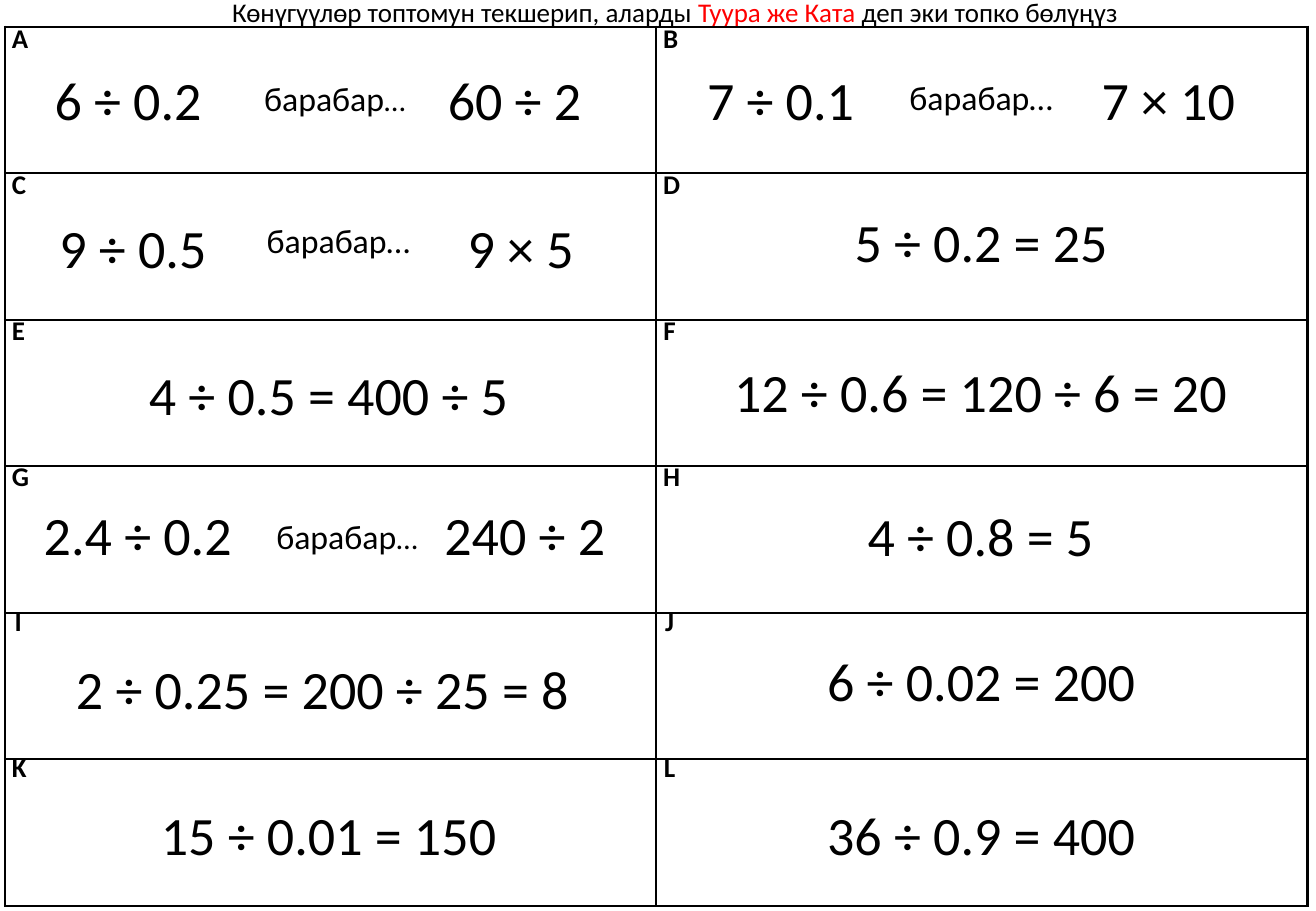
from dataclasses import dataclass

from lxml.etree import SubElement
from pptx import Presentation
from pptx.dml.color import RGBColor
from pptx.enum.text import MSO_ANCHOR, MSO_AUTO_SIZE as AutoSize, PP_ALIGN as Align
from pptx.oxml.ns import qn
from pptx.slide import Slide
from pptx.table import _Cell as Cell
from pptx.text.text import TextFrame
from pptx.util import Inches, Pt

COLORS = {"ink": "000000", "accent": "FF0000", "paper": "FFFFFF"}
FONT = "Calibri"
ROWS, COLUMNS = 6, 2
GRID_LEFT, GRID_TOP, GRID_WIDTH, GRID_HEIGHT = 0.04, 0.22, 10.72, 7.24
LABEL_TOP, LABEL_STEP = 0.23, 1.2
EQUALS_WORD = "барабар"


@dataclass(frozen=True)
class Span:
    text: str
    size: float
    color: str = "ink"
    bold: bool = False


@dataclass(frozen=True)
class Expression:
    text: str
    left: float
    top: float
    width: float


@dataclass(frozen=True)
class EqualsPrompt:
    left: float
    top: float
    width: float
    dots_size: float


EXPRESSIONS = [
    Expression("6 ÷ 0.2", 0.34, 0.5, 1.43),
    Expression("60 ÷ 2", 3.58, 0.5, 1.31),
    Expression("7 ÷ 0.1", 5.71, 0.5, 1.43),
    Expression("7 × 10", 8.96, 0.5, 1.31),
    Expression("9 ÷ 0.5", 0.38, 1.72, 1.43),
    Expression("9 × 5", 3.74, 1.72, 1.09),
    Expression("5 ÷ 0.2 = 25", 6.92, 1.67, 2.31),
    Expression("4 ÷ 0.5 = 400 ÷ 5", 1.11, 2.93, 3.19),
    Expression("12 ÷ 0.6 = 120 ÷ 6 = 20", 5.86, 2.9, 4.42),
    Expression("2.4 ÷ 0.2", 0.25, 4.08, 1.77),
    Expression("240 ÷ 2", 3.55, 4.08, 1.54),
    Expression("4 ÷ 0.8 = 5", 7.03, 4.09, 2.08),
    Expression("2 ÷ 0.25 = 200 ÷ 25 = 8 ", 0.5, 5.35, 4.41),
    Expression("6 ÷ 0.02 = 200", 6.69, 5.28, 2.77),
    Expression("15 ÷ 0.01 = 150", 1.21, 6.55, 2.99),
    Expression("36 ÷ 0.9 = 400", 6.69, 6.55, 2.77),
]

PROMPTS = [
    EqualsPrompt(2.07, 0.59, 1.37, 18),
    EqualsPrompt(7.38, 0.58, 1.39, 20),
    EqualsPrompt(2.09, 1.76, 1.39, 20),
    EqualsPrompt(2.17, 4.2, 1.37, 18),
]

INSTRUCTION = [
    Span("Көнүгүүлөр топтомун текшерип, аларды ", 16),
    Span("Туура же Ката", 16, "accent"),
    Span(" деп эки топко бөлүңүз", 16),
]


def write_spans(frame: TextFrame, spans: list[Span], align: Align) -> None:
    paragraph = frame.paragraphs[0]
    paragraph.alignment = align
    for span in spans:
        run = paragraph.add_run()
        run.text = span.text
        run.font.name = FONT
        run.font.size = Pt(span.size)
        run.font.bold = span.bold
        run.font.color.rgb = RGBColor.from_string(COLORS[span.color])


def add_text(slide: Slide, left: float, top: float, width: float, height: float,
             spans: list[Span], wrap: bool = False) -> TextFrame:
    box = slide.shapes.add_textbox(Inches(left), Inches(top), Inches(width), Inches(height))
    frame = box.text_frame
    frame.word_wrap = wrap
    frame.auto_size = AutoSize.SHAPE_TO_FIT_TEXT
    write_spans(frame, spans, Align.CENTER)
    return frame


def set_borders(cell: Cell) -> None:
    properties = cell._tc.get_or_add_tcPr()
    for side in ("a:lnL", "a:lnR", "a:lnT", "a:lnB"):
        border = SubElement(properties, qn(side), w=str(Pt(1.5)))
        fill = SubElement(border, qn("a:solidFill"))
        SubElement(fill, qn("a:srgbClr"), val=COLORS["ink"])


def add_grid(slide: Slide) -> None:
    grid = slide.shapes.add_table(ROWS, COLUMNS, Inches(GRID_LEFT), Inches(GRID_TOP),
                                  Inches(GRID_WIDTH), Inches(GRID_HEIGHT)).table
    for cell in grid.iter_cells():
        set_borders(cell)
        cell.fill.solid()
        cell.fill.fore_color.rgb = RGBColor.from_string(COLORS["paper"])


def add_labels(slide: Slide) -> None:
    for index, letter in enumerate("ABCDEFGHIJKL"):
        row, column = divmod(index, COLUMNS)
        label = add_text(slide, column * GRID_WIDTH / COLUMNS, LABEL_TOP + row * LABEL_STEP,
                         0.3, 0.29, [Span(letter, 16, bold=True)], wrap=True)
        label.paragraphs[0].line_spacing = Pt(12)


def add_instruction(slide: Slide) -> None:
    title = slide.shapes.title
    title.left, title.top = Inches(1.81), Inches(-0.09)
    title.width, title.height = Inches(7.6), Inches(0.37)
    frame = title.text_frame
    frame.word_wrap = False
    frame.auto_size = AutoSize.SHAPE_TO_FIT_TEXT
    frame.vertical_anchor = MSO_ANCHOR.TOP
    write_spans(frame, INSTRUCTION, Align.LEFT)


def main() -> None:
    deck = Presentation()
    deck.slide_width, deck.slide_height = Inches(10.83), Inches(7.5)
    slide = deck.slides.add_slide(deck.slide_layouts[5])
    add_instruction(slide)
    add_grid(slide)
    add_labels(slide)
    for item in EXPRESSIONS:
        add_text(slide, item.left, item.top, item.width, 0.64, [Span(item.text, 32)])
    for prompt in PROMPTS:
        add_text(slide, prompt.left, prompt.top, prompt.width, 0.44,
                 [Span(EQUALS_WORD, 20), Span("…", prompt.dots_size)])
    deck.save("out.pptx")


if __name__ == "__main__":
    main()
